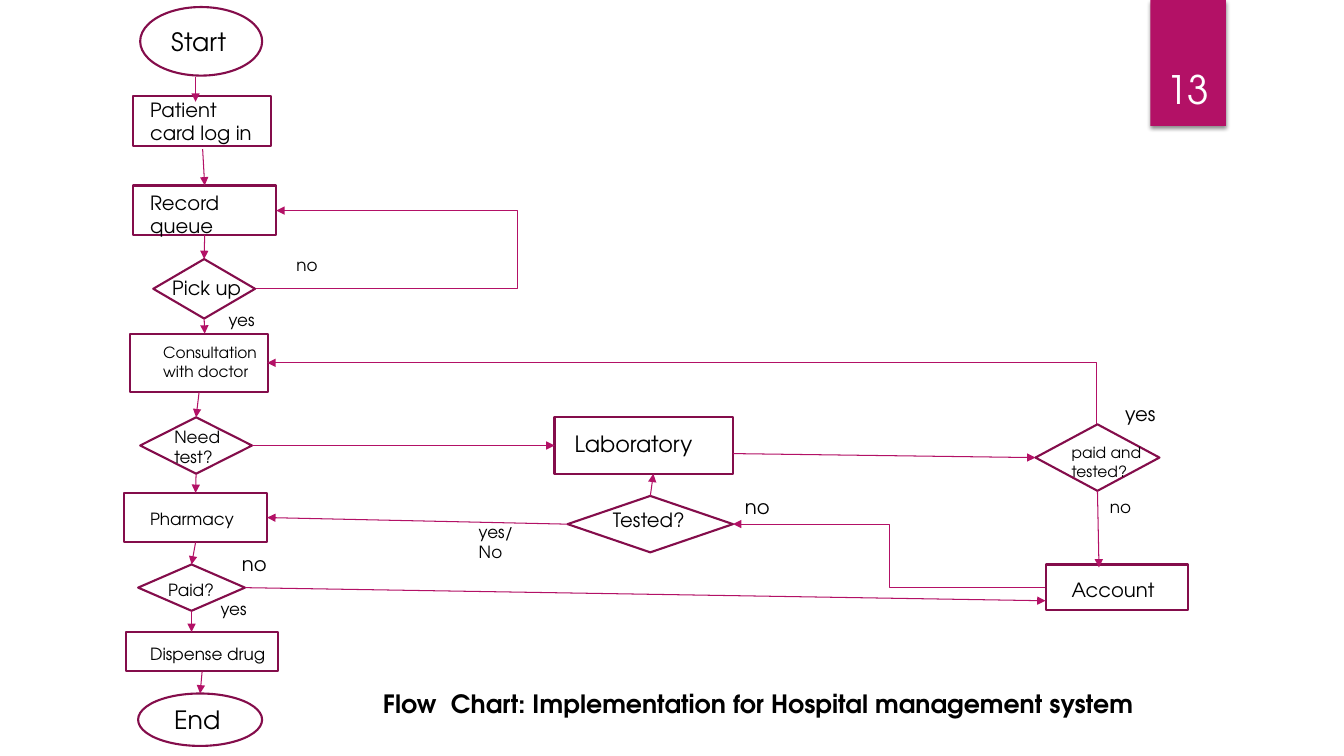
from dataclasses import dataclass

from lxml import etree
from pptx import Presentation
from pptx.dml.color import RGBColor
from pptx.enum.shapes import MSO_CONNECTOR, MSO_SHAPE
from pptx.enum.text import MSO_ANCHOR, MSO_AUTO_SIZE, PP_ALIGN
from pptx.oxml.ns import qn
from pptx.util import Pt

RECT = MSO_SHAPE.RECTANGLE
STEP = MSO_SHAPE.FLOWCHART_PROCESS
CHOICE = MSO_SHAPE.FLOWCHART_DECISION
TERMINAL = MSO_SHAPE.FLOWCHART_CONNECTOR
STRAIGHT, ELBOW = MSO_CONNECTOR.STRAIGHT, MSO_CONNECTOR.ELBOW
FIT_TEXT = MSO_AUTO_SIZE.SHAPE_TO_FIT_TEXT
BOTTOM_ANCHOR, CENTER = MSO_ANCHOR.BOTTOM, PP_ALIGN.CENTER
TOP, LEFT, BOTTOM, RIGHT = range(4)
EMU_PER_PX = 9144


@dataclass(frozen=True)
class Theme:
    font: str = "TeX Gyre Adventor"
    accent: RGBColor = RGBColor(0xB3, 0x11, 0x66)
    outline: RGBColor = RGBColor(0x84, 0x0D, 0x4B)
    ink: RGBColor = RGBColor(0, 0, 0)
    paper: RGBColor = RGBColor(255, 255, 255)
    outline_width: float = 1.5
    arrow_width: float = 0.75
    number: int = 28
    title: int = 18
    heading: int = 16
    body: int = 14
    small: int = 12
    tiny: int = 11


def px(value):
    return round(value * EMU_PER_PX)


class FlowChart:
    def __init__(self, slide, theme):
        self.slide, self.shapes, self.theme = slide, slide.shapes, theme
        background = slide.background.fill
        background.solid()
        background.fore_color.rgb = theme.paper

    def node(self, kind, left, top, width, height):
        node = self.shapes.add_shape(kind, px(left), px(top), px(width), px(height))
        node.shadow.inherit = False
        node.fill.background()
        node.line.color.rgb = self.theme.outline
        node.line.width = Pt(self.theme.outline_width)
        return node

    def page_tab(self, left, top, width, height):
        tab = self.node(RECT, left, top, width, height)
        tab.fill.solid()
        tab.fill.fore_color.rgb = self.theme.accent
        tab.line.fill.background()
        effects = tab.element.spPr.find(qn("a:effectLst"))
        shadow = etree.SubElement(effects, qn("a:outerShdw"), blurRad="38100",
                                  dist="25400", dir="5400000", rotWithShape="0")
        black = etree.SubElement(shadow, qn("a:srgbClr"), val="000000")
        etree.SubElement(black, qn("a:alpha"), val="45000")

    def label(self, text, left, top, width, height, size, wrap=False, bold=False):
        box = self.shapes.add_textbox(px(left), px(top), px(width), px(height))
        frame = box.text_frame
        frame.word_wrap = wrap
        frame.auto_size = FIT_TEXT
        paragraph = frame.paragraphs[0]
        paragraph.text = text
        font = paragraph.font
        font.name, font.size, font.bold = self.theme.font, Pt(size), bold
        font.color.rgb = self.theme.ink
        return frame

    def page_number(self, text, left, top, width, height):
        frame = self.label(text, left, top, width, height, self.theme.number, True)
        frame.auto_size = MSO_AUTO_SIZE.NONE
        frame.vertical_anchor = BOTTOM_ANCHOR
        frame.paragraphs[0].alignment = CENTER
        frame.paragraphs[0].font.color.rgb = self.theme.paper

    def style_arrow(self, arrow):
        arrow.line.color.rgb = self.theme.accent
        arrow.line.width = Pt(self.theme.arrow_width)
        etree.SubElement(arrow.line._get_or_add_ln(), qn("a:tailEnd"), type="triangle")
        etree.SubElement(arrow.element.spPr, qn("a:effectLst"))

    def arrow(self, start, finish):
        arrow = self.shapes.add_connector(STRAIGHT, 0, 0, 0, 0)
        if isinstance(start[0], int):
            arrow.begin_x, arrow.begin_y = map(px, start)
        else:
            arrow.begin_connect(*start)
        if isinstance(finish[0], int):
            arrow.end_x, arrow.end_y = map(px, finish)
        else:
            arrow.end_connect(*finish)
        self.style_arrow(arrow)

    def elbow(self, start, finish, bend):
        arrow = self.shapes.add_connector(ELBOW, *map(px, start + finish))
        values = arrow.element.spPr.find(qn("a:prstGeom")).get_or_add_avLst()
        etree.SubElement(values, qn("a:gd"), name="adj1", fmla=f"val {round(bend * 100000)}")
        self.style_arrow(arrow)

    def up_then_left(self, start, finish):
        middle_x, middle_y = (start[0] + finish[0]) / 2, (start[1] + finish[1]) / 2
        half_run, half_rise = (start[0] - finish[0]) / 2, (start[1] - finish[1]) / 2
        corners = (middle_x - half_rise, middle_y + half_run,
                   middle_x + half_rise, middle_y - half_run)
        arrow = self.shapes.add_connector(ELBOW, *map(px, corners))
        arrow.element.spPr.find(qn("a:xfrm")).set("rot", "16200000")
        arrow.element.spPr.find(qn("a:prstGeom")).set("prst", "bentConnector2")
        self.style_arrow(arrow)


def main():
    deck = Presentation()
    deck.slide_width, deck.slide_height = px(1333), px(750)
    theme = Theme()
    chart = FlowChart(deck.slides.add_slide(deck.slide_layouts[6]), theme)

    chart.page_tab(1141, 0, 75, 125)
    chart.page_number("13", 1132, 32, 92, 84)

    chart.node(TERMINAL, 139, 7, 121, 68)
    chart.node(STEP, 132, 95, 137, 50)
    queue = chart.node(STEP, 132, 184, 142, 49)
    pick_up = chart.node(CHOICE, 152, 257, 101, 59)
    consultation = chart.node(STEP, 129, 331, 137, 58)
    need_test = chart.node(CHOICE, 139, 414, 111, 56)
    pharmacy = chart.node(STEP, 123, 489, 142, 49)
    paid = chart.node(CHOICE, 137, 560, 106, 46)
    dispense = chart.node(STEP, 125, 627, 151, 39)
    end = chart.node(TERMINAL, 137, 688, 123, 52)
    laboratory = chart.node(STEP, 550, 414, 177, 56)
    paid_and_tested = chart.node(CHOICE, 1027, 421, 123, 66)
    tested = chart.node(CHOICE, 563, 492, 164, 56)
    chart.node(STEP, 1037, 560, 141, 45)

    for start, finish in (
        ((194, 76), (194, 101)),
        ((201, 148), (queue, TOP)),
        ((queue, BOTTOM), (pick_up, TOP)),
        ((pick_up, BOTTOM), (203, 331)),
        ((consultation, BOTTOM), (need_test, TOP)),
        ((need_test, BOTTOM), (pharmacy, TOP)),
        ((pharmacy, BOTTOM), (paid, TOP)),
        ((paid, BOTTOM), (190, 627)),
        ((dispense, BOTTOM), (end, TOP)),
        ((paid_and_tested, BOTTOM), (1090, 563)),
        ((need_test, RIGHT), (laboratory, LEFT)),
        ((727, 450), (paid_and_tested, LEFT)),
        ((tested, TOP), (648, 470)),
        ((paid, RIGHT), (1037, 596)),
        ((tested, LEFT), (pharmacy, RIGHT)),
    ):
        chart.arrow(start, finish)
    chart.elbow((254, 286), (274, 209), 12.95)
    chart.elbow((1037, 583), (727, 520), 0.5)
    chart.up_then_left((1088, 421), (265, 360))

    for text, left, top, width, height, size in (
        ("Start", 160, 21, 75, 40, theme.title),
        ("Pick up", 161, 269, 89, 34, theme.body),
        ("no", 284, 248, 42, 30, theme.small),
        ("yes", 217, 302, 46, 30, theme.small),
        ("Pharmacy", 139, 500, 104, 30, theme.small),
        ("Paid?", 157, 570, 67, 30, theme.small),
        ("Dispense drug", 139, 634, 135, 30, theme.small),
        ("End", 163, 694, 66, 40, theme.title),
        ("Laboratory", 560, 422, 139, 37, theme.heading),
        ("Account", 1053, 568, 103, 34, theme.body),
        ("Tested?", 598, 499, 93, 34, theme.body),
        ("no", 729, 486, 45, 34, theme.body),
        ("yes", 1106, 394, 51, 34, theme.body),
        ("no", 1091, 488, 42, 30, theme.small),
        ("no", 230, 543, 45, 34, theme.body),
        ("yes", 209, 589, 46, 30, theme.small),
    ):
        chart.label(text, left, top, width, height, size)

    for text, left, top, width, height, size in (
        ("Patient card log in", 139, 92, 131, 57, theme.body),
        ("Record queue", 139, 184, 127, 57, theme.body),
        ("Consultation with doctor", 152, 336, 145, 47, theme.tiny),
        ("Need test?", 163, 418, 72, 50, theme.small),
        ("paid and tested?", 1053, 435, 105, 47, theme.tiny),
        ("yes/No", 465, 513, 70, 50, theme.small),
    ):
        chart.label(text, left, top, width, height, size, wrap=True)
    chart.label("Flow  Chart: Implementation for Hospital management system",
                370, 678, 875, 40, theme.title, wrap=True, bold=True)

    deck.save("out.pptx")


if __name__ == "__main__":
    main()
